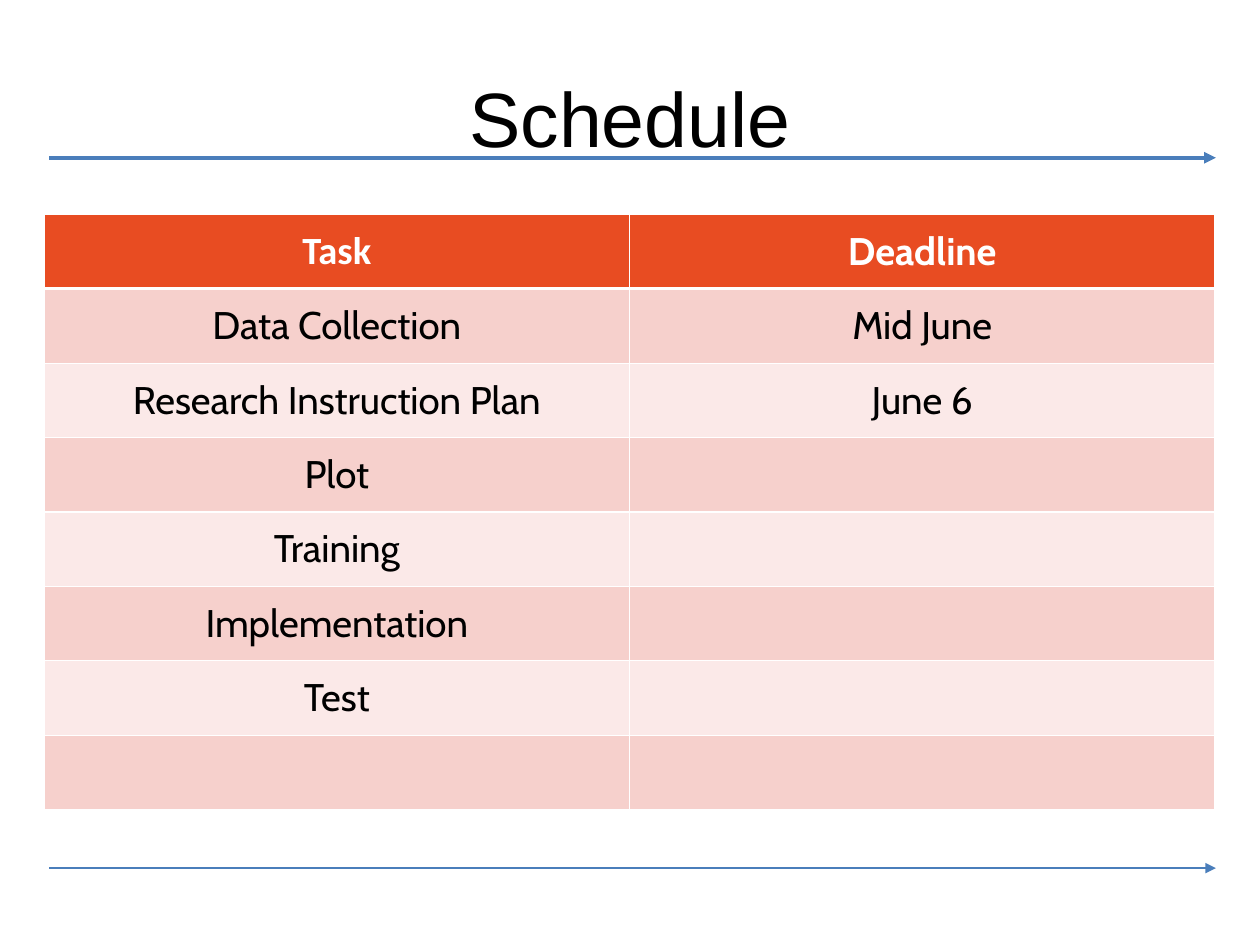
from lxml.etree import SubElement
from pptx import Presentation
from pptx.dml.color import RGBColor as Color
from pptx.enum.shapes import MSO_CONNECTOR as Connector
from pptx.enum.text import MSO_ANCHOR as Anchor, PP_ALIGN as Align
from pptx.oxml import parse_xml
from pptx.oxml.ns import qn
from pptx.util import Cm, Pt

TITLE = "Schedule"
ROWS = [
    ("Task", "Deadline"),
    ("Data Collection", "Mid June"),
    ("Research Instruction Plan", "June 6"),
    ("Plot", ""),
    ("Training", ""),
    ("Implementation", ""),
    ("Test", ""),
    ("", ""),
]
ARROWS = [(17.5, 1.5), (3.18, 2.25)]
ARROW_LEFT, ARROW_RIGHT = 0.99, 24.51
TITLE_BOX = (1.27, 0.76, 22.86, 3.18)
TABLE_LEFT, TABLE_TOP, COLUMN_WIDTH, ROW_HEIGHT = 0.89, 4.32, 11.8, 1.5

THEME = {
    "arrow": "4A7EBB",
    "header": "E84C22",
    "bands": ("F6D0CC", "FBE9E8"),
    "border": "FFFFFF",
    "thin": 0.75,
    "thick": 2.25,
    "title": {"name": "Arial", "size": Pt(44), "color": "000000"},
    "head": {"name": "Cabin", "size": Pt(22), "color": "FFFFFF", "bold": True},
    "body": {"name": "Cabin", "size": Pt(22), "color": "000000", "bold": False},
}
MAIN = "http://schemas.openxmlformats.org/drawingml/2006/main"


def write(frame, text, style):
    para = frame.paragraphs[0]
    para.alignment = Align.CENTER
    span = para.add_run()
    span.text = text
    for name, value in style.items():
        if name == "color":
            span.font.color.rgb = Color.from_string(value)
        else:
            setattr(span.font, name, value)


def add_arrow(page, height, weight):
    arrow = page.shapes.add_connector(
        Connector.STRAIGHT, Cm(ARROW_LEFT), Cm(height), Cm(ARROW_RIGHT), Cm(height)
    )
    arrow.line.color.rgb = Color.from_string(THEME["arrow"])
    arrow.line.width = Pt(weight)
    properties = arrow._element.spPr
    SubElement(properties.find(qn("a:ln")), qn("a:tailEnd"), type="triangle")
    SubElement(properties, qn("a:effectLst"))


def add_title(page):
    box = page.shapes.add_textbox(*map(Cm, TITLE_BOX))
    frame = box.text_frame
    settings = {"word_wrap": True, "vertical_anchor": Anchor.MIDDLE}
    settings.update({f"margin_{side}": 0 for side in ("left", "top", "right", "bottom")})
    for name, value in settings.items():
        setattr(frame, name, value)
    write(frame, TITLE, THEME["title"])


def set_borders(cell, row):
    properties = cell._tc.get_or_add_tcPr()
    weights = {side: THEME["thin"] for side in "LRTB"}
    if row == 0:
        weights["B"] = THEME["thick"]
    elif row == 1:
        weights["T"] = THEME["thick"]
    for position, (side, weight) in enumerate(weights.items()):
        border = parse_xml(
            f'<a:ln{side} xmlns:a="{MAIN}" w="{int(Pt(weight))}"><a:solidFill>'
            f'<a:srgbClr val="{THEME["border"]}"/></a:solidFill></a:ln{side}>'
        )
        properties.insert(position, border)


def add_schedule(page):
    columns = len(ROWS[0])
    table = page.shapes.add_table(
        len(ROWS), columns, Cm(TABLE_LEFT), Cm(TABLE_TOP),
        Cm(COLUMN_WIDTH * columns), Cm(ROW_HEIGHT * len(ROWS)),
    ).table
    table.horz_banding = False
    for row, texts in enumerate(ROWS):
        fill = THEME["bands"][(row - 1) % 2] if row else THEME["header"]
        for column, text in enumerate(texts):
            cell = table.cell(row, column)
            cell.vertical_anchor = Anchor.MIDDLE
            cell.fill.solid()
            cell.fill.fore_color.rgb = Color.from_string(fill)
            set_borders(cell, row)
            if text:
                write(cell.text_frame, text, THEME["body" if row else "head"])
    table.cell(0, 0).text_frame.paragraphs[0].runs[0].font.name = "Calibri"


def main():
    deck = Presentation()
    deck.slide_width, deck.slide_height = Cm(25.4), Cm(19.05)
    page = deck.slides.add_slide(deck.slide_layouts[6])
    for height, weight in ARROWS:
        add_arrow(page, height, weight)
    add_title(page)
    add_schedule(page)
    deck.save("out.pptx")


if __name__ == "__main__":
    main()
